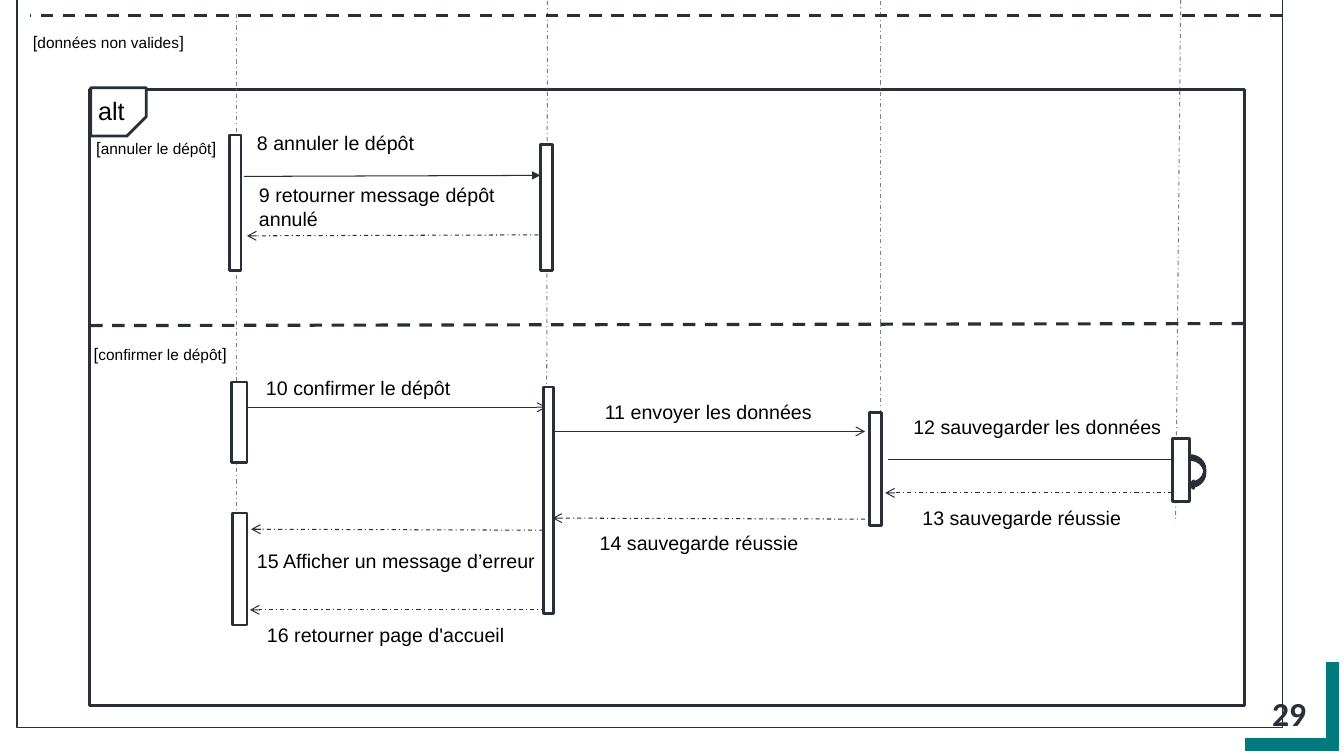
from lxml import etree
from pptx import Presentation
from pptx.dml.color import RGBColor
from pptx.enum.dml import MSO_LINE
from pptx.enum.shapes import MSO_CONNECTOR, MSO_SHAPE
from pptx.enum.text import MSO_ANCHOR, PP_ALIGN
from pptx.oxml.ns import qn
from pptx.util import Inches, Pt

INK = RGBColor(0x28, 0x2F, 0x39)
TEAL = RGBColor(0x00, 0x7A, 0x7D)
GREY = RGBColor(0x7F, 0x7F, 0x7F)
WHITE = RGBColor(0xFF, 0xFF, 0xFF)
BLACK = RGBColor(0x00, 0x00, 0x00)

RECTANGLE = MSO_SHAPE.RECTANGLE
CORNER = MSO_SHAPE.CORNER
SNIPPED = MSO_SHAPE.SNIP_1_RECTANGLE
SELF_CALL = MSO_SHAPE.CURVED_UP_ARROW
STRAIGHT = MSO_CONNECTOR.STRAIGHT
DASH = MSO_LINE.DASH
DASH_DOT = MSO_LINE.DASH_DOT
LEFT = PP_ALIGN.LEFT
CENTER = PP_ALIGN.CENTER
TOP = MSO_ANCHOR.TOP


class SequenceDiagram:
    font = "Arial"
    label_size = 14

    def __init__(self, slide):
        self.shapes = slide.shapes

    def block(self, kind, box, fill=WHITE, line=INK, weight=2,
              rotation=0, flipped=False, adjustments=()):
        block = self.shapes.add_shape(kind, *map(Inches, box))
        block.shadow.inherit = False
        if fill is None:
            block.fill.background()
        else:
            block.fill.solid()
            block.fill.fore_color.rgb = fill
        block.line.color.rgb = line
        block.line.width = Pt(weight)
        block.rotation = rotation
        if flipped:
            block._element.spPr.find(qn("a:xfrm")).set("flipH", "1")
        for index, value in enumerate(adjustments):
            block.adjustments[index] = value

    def line(self, start, end, color=INK, weight=0.75, dash=None, head=None):
        line = self.shapes.add_connector(STRAIGHT, *map(Inches, start + end))
        line.line.color.rgb = color
        line.line.width = Pt(weight)
        if dash is not None:
            line.line.dash_style = dash
        if head:
            outline = line.line._get_or_add_ln()
            etree.SubElement(outline, qn("a:tailEnd"), type=head)
        etree.SubElement(line._element.spPr, qn("a:effectLst"))

    def text(self, box, runs, align=LEFT, font=None, color=BLACK,
             bold=False, wrap=True):
        frame = self.shapes.add_textbox(*map(Inches, box)).text_frame
        frame.word_wrap = wrap
        frame.vertical_anchor = TOP
        paragraph = frame.paragraphs[0]
        paragraph.alignment = align
        for words, size in runs:
            run = paragraph.add_run()
            run.text = words
            run.font.name = font or self.font
            run.font.size = Pt(size)
            run.font.bold = bold
            run.font.color.rgb = color

    def message(self, start, end, reply=False, head="arrow"):
        self.line(start, end, dash=DASH_DOT if reply else None, head=head)

    def label(self, left, top, words, width=3.86):
        self.text((left, top, width, 0.36), [(words, self.label_size)])

    def guard(self, left, top, width, condition):
        self.text((left, top, width, 0.36),
                  [("[", 12), (condition, 11), ("]", 12)], CENTER)


def main():
    deck = Presentation()
    deck.slide_width = Inches(13.33)
    deck.slide_height = Inches(7.5)
    diagram = SequenceDiagram(deck.slides.add_slide(deck.slide_layouts[6]))

    diagram.block(RECTANGLE, (0.89, 0.89, 11.45, 6.11))
    diagram.text((12.52, 6.83, 0.54, 0.5), [("29", 24)], font="Calibri",
                 color=INK, bold=True, wrap=False)
    diagram.block(CORNER, (12.37, 6.54, 0.89, 0.94), TEAL, WHITE, 0.5,
                  rotation=270, adjustments=(0.16, 0.16))

    lifelines = [
        ((2.35, 0.14), (2.35, 5.18)),
        ((5.43, 0.01), (5.42, 5.19)),
        ((8.73, 0.01), (8.73, 5.18)),
        ((11.71, 0), (11.66, 5.18)),
    ]
    for start, end in lifelines:
        diagram.line(start, end, GREY, dash=DASH_DOT)

    diagram.block(SNIPPED, (0.9, 0.87, 0.55, 0.48), rotation=180,
                  flipped=True, adjustments=(0.4,))
    diagram.text((0.66, 0.9, 0.89, 0.26), [("alt", 18)], CENTER)

    dividers = [((12.34, 3.21), (0.9, 3.23)), ((12.72, 0.15), (0.3, 0.15))]
    for start, end in dividers:
        diagram.line(start, end, weight=2.25, dash=DASH)

    diagram.message((2.42, 1.75), (5.36, 1.74), head="triangle")
    calls = [
        ((2.42, 4.04), (5.42, 4.04)),
        ((5.5, 4.28), (8.58, 4.28)),
        ((8.81, 4.56), (11.75, 4.56)),
    ]
    for start, end in calls:
        diagram.message(start, end)

    replies = [
        ((5.34, 2.33), (2.45, 2.34)),
        ((11.63, 4.89), (8.78, 4.89)),
        ((8.58, 5.15), (5.48, 5.14)),
        ((5.39, 5.26), (2.49, 5.25)),
    ]
    for start, end in replies:
        diagram.message(start, end, reply=True)

    activations = [
        (2.28, 1.34, 0.11, 1.34),
        (5.36, 1.43, 0.12, 1.25),
        (2.3, 3.79, 0.15, 0.8),
        (2.31, 5.09, 0.14, 1.11),
        (5.39, 3.84, 0.1, 2.25),
        (8.62, 4.09, 0.12, 1.12),
        (11.63, 4.35, 0.17, 0.63),
    ]
    for box in activations:
        diagram.block(RECTANGLE, box)
    diagram.block(SELF_CALL, (11.71, 4.61, 0.33, 0.15), INK, rotation=270,
                  flipped=True, adjustments=(0.25, 0.5, 0.25))
    diagram.message((5.41, 6.05), (2.48, 6.05), reply=True)

    labels = [
        (2.45, 1.25, "8 annuler le dépôt"),
        (2.54, 3.68, "10 confirmer le dépôt"),
        (5.9, 3.92, "11 envoyer les données"),
        (8.96, 4.07, "12 sauvegarder les données"),
        (9.05, 4.97, "13 sauvegarde réussie"),
        (5.85, 5.22, "14 sauvegarde réussie"),
        (2.45, 5.4, "15 Afficher un message d’erreur"),
        (2.55, 6.13, "16 retourner page d'accueil"),
    ]
    for left, top, words in labels:
        diagram.label(left, top, words)
    diagram.label(2.47, 1.77, "9 retourner message dépôt annulé", width=3.09)

    diagram.guard(0.67, 1.32, 1.76, "annuler le dépôt")
    diagram.guard(0.81, 3.36, 1.56, "confirmer le dépôt")
    diagram.guard(-0.62, 0.27, 3.39, "données non valides")
    diagram.block(RECTANGLE, (0.17, -0.16, 12.55, 7.38), fill=None, weight=1)

    deck.save("out.pptx")


if __name__ == "__main__":
    main()
